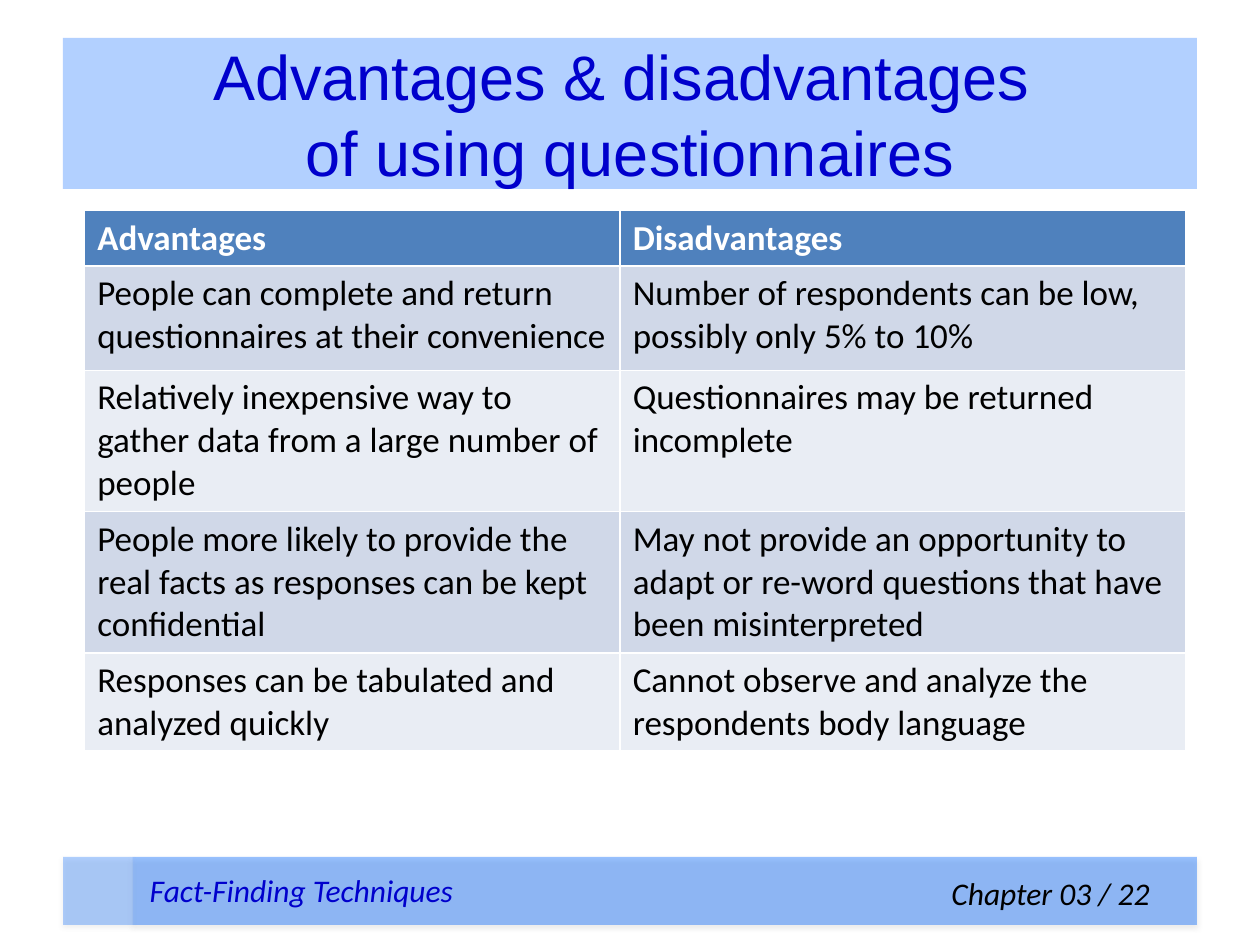
from lxml import etree
from pptx import Presentation
from pptx.dml.color import RGBColor
from pptx.enum import shapes, text
from pptx.oxml import ns
from pptx.util import Pt

COLORS = {
    "bar": "0066FF", "accent": "0000CC", "black": "000000", "white": "FFFFFF",
    "header": "4F81BD", "band_dark": "D0D8E8", "band_light": "E9EDF4",
    "shadow": "808080",
}
TITLE = "Advantages & disadvantages \vof using questionnaires"
ROWS = [
    ("Advantages", "Disadvantages"),
    ("People can complete and return questionnaires at their convenience",
     "Number of respondents can be low, possibly only 5% to 10%"),
    ("Relatively inexpensive way to gather data from a large number of people",
     "Questionnaires may be returned incomplete"),
    ("People more likely to provide the real facts as responses can be kept confidential",
     "May not provide an opportunity to adapt or re-word questions that have "
     "been misinterpreted"),
    ("Responses can be tabulated and\nanalyzed quickly",
     "Cannot observe and analyze the respondents body language"),
]
COL_WIDTHS = (306, 323.3)
ROW_HEIGHTS = (31.2, 59.5, 79.2, 79.2, 55.5)
TABLE_LEFT, TABLE_TOP = 48.4, 120.4

LEFT, RIGHT = 36, 684
FOOTER_TOP, FOOTER_HEIGHT, FOOTER_SPLIT = 489.6, 38.9, 75.6
FOOTER_TEXTS = [  # text, box, right inset, alignment, colour
    ("Fact-Finding Techniques", (78.5, 494, 263.5, 51), 7.2,
     text.PP_ALIGN.LEFT, "accent"),
    ("Chapter 03 / 22", (378, 496, 306, 29), 27, text.PP_ALIGN.RIGHT, "black"),
]


def rgb(name):
    return RGBColor.from_string(COLORS[name])


def style(p, font, size, color, bold=False, italic=False):
    f = p.font
    f.name, f.size, f.bold, f.italic = font, Pt(size), bold, italic
    f.color.rgb = rgb(color)


def add_bar(s, box, opacity, shadow=False):
    """Add a translucent rectangle; opacity is in percent."""
    sp = s.shapes.add_shape(shapes.MSO_SHAPE.RECTANGLE, *map(Pt, box))
    sp.shadow.inherit = False
    sp.fill.solid()
    sp.fill.fore_color.rgb = rgb("bar")
    sp.line.fill.background()
    props = sp._element.spPr
    color = props.find(".//" + ns.qn("a:srgbClr"))
    etree.SubElement(color, ns.qn("a:alpha"), val=str(opacity * 1000))
    if shadow:
        effects = props.find(ns.qn("a:effectLst"))
        outer = etree.SubElement(
            effects, ns.qn("a:outerShdw"), blurRad=str(Pt(3.1)),
            dist=str(Pt(1.6)), dir="5400000", rotWithShape="0")
        color = etree.SubElement(outer, ns.qn("a:srgbClr"), val=COLORS["shadow"])
        etree.SubElement(color, ns.qn("a:alpha"), val="38000")
    return sp


def add_title(s):
    sp = add_bar(s, (LEFT, 21.6, RIGHT - LEFT, 86.4), 30)
    tf = sp.text_frame
    tf.word_wrap = True
    tf.vertical_anchor = text.MSO_ANCHOR.MIDDLE
    p = tf.paragraphs[0]
    p.text = TITLE
    p.alignment = text.PP_ALIGN.CENTER
    style(p, "Arial", 36, "accent")


def add_comparison(s):
    table = s.shapes.add_table(
        len(ROWS), len(COL_WIDTHS), Pt(TABLE_LEFT), Pt(TABLE_TOP),
        Pt(sum(COL_WIDTHS)), Pt(sum(ROW_HEIGHTS))).table
    for column, width in zip(table.columns, COL_WIDTHS):
        column.width = Pt(width)
    for i, (row, height, words) in enumerate(zip(table.rows, ROW_HEIGHTS, ROWS)):
        row.height = Pt(height)
        header = i == 0
        fill = "header" if header else "band_dark" if i % 2 else "band_light"
        for cell, content in zip(row.cells, words):
            cell.fill.solid()
            cell.fill.fore_color.rgb = rgb(fill)
            cell.text = content
            for p in cell.text_frame.paragraphs:
                style(p, "Calibri", 20, "white" if header else "black", bold=header)


def add_footer(s):
    for left, right, opacity in ((FOOTER_SPLIT, RIGHT, 40), (LEFT, FOOTER_SPLIT, 30)):
        add_bar(s, (left, FOOTER_TOP, right - left, FOOTER_HEIGHT), opacity, shadow=True)
    for words, box, inset, alignment, color in FOOTER_TEXTS:
        tf = s.shapes.add_textbox(*map(Pt, box)).text_frame
        tf.word_wrap = True
        tf.margin_right = Pt(inset)
        p = tf.paragraphs[0]
        p.text = words
        p.alignment = alignment
        style(p, "Calibri", 18, color, italic=True)


def main():
    prs = Presentation()
    prs.slide_width, prs.slide_height = Pt(720), Pt(540)
    s = prs.slides.add_slide(prs.slide_layouts[6])
    add_title(s)
    add_comparison(s)
    add_footer(s)
    prs.save("out.pptx")


if __name__ == "__main__":
    main()
